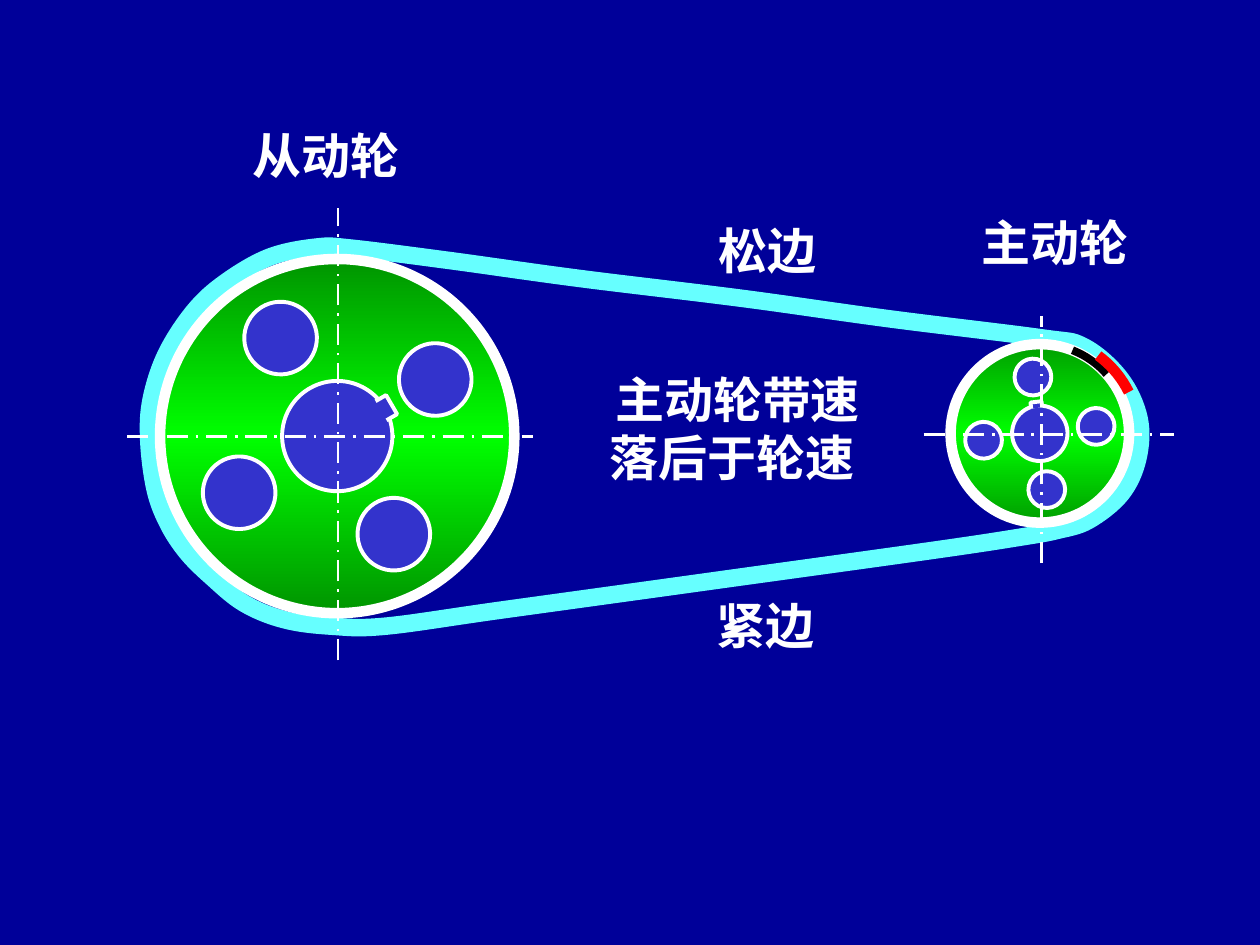
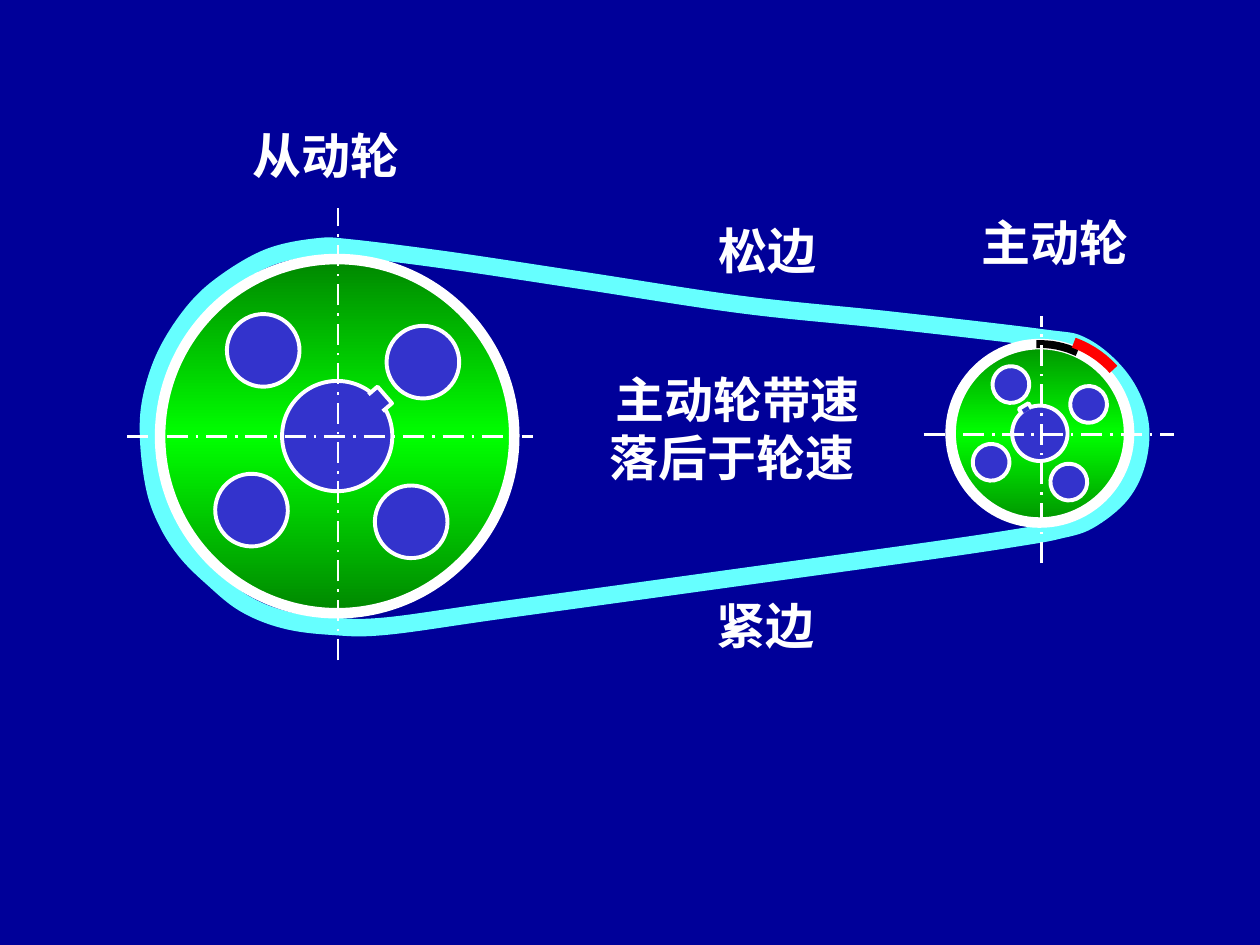
from copy import deepcopy
from math import cos, radians, sin

from pptx import Presentation
from pptx.dml.color import RGBColor
from pptx.enum.dml import MSO_LINE
from pptx.enum.shapes import MSO_CONNECTOR, MSO_SHAPE
from pptx.enum.text import MSO_AUTO_SIZE, PP_ALIGN
from pptx.oxml.ns import qn
from pptx.util import Pt

OVAL, ARC = MSO_SHAPE.OVAL, MSO_SHAPE.ARC
STRAIGHT = MSO_CONNECTOR.STRAIGHT
DASH_DOT = MSO_LINE.LONG_DASH_DOT
CENTER = PP_ALIGN.CENTER
FIT_SHAPE = MSO_AUTO_SIZE.SHAPE_TO_FIT_TEXT

NAVY = RGBColor(0x00, 0x00, 0x99)
WHITE = RGBColor(0xFF, 0xFF, 0xFF)
BLACK = RGBColor(0x00, 0x00, 0x00)
RED = RGBColor(0xFF, 0x00, 0x00)
BELT_CYAN = RGBColor(0x66, 0xFF, 0xFF)
HOLE_BLUE = RGBColor(0x33, 0x33, 0xCC)
DARK_GREEN = RGBColor(0x00, 0x75, 0x00)
BRIGHT_GREEN = RGBColor(0x00, 0xFF, 0x00)
FONT = "Times New Roman"

# Points are complex numbers: x + y * 1j, in points, y downwards
DRIVEN_CENTER = complex(192.7, 249.2)
DRIVER_CENTER = complex(594.2, 247.6)

# Wheels: centre, rim diameter, hub diameter, hole diameter, hole distance
DRIVEN = (DRIVEN_CENTER, 202.4, 63, 41.5, 64.7)
DRIVER = (DRIVER_CENTER, 102, 31.7, 21, 32.4)
# Key seat corners (along, across), as parts of the hub radius
KEY = [(0.92, -0.2), (1.14, -0.2), (1.14, 0.2), (0.92, 0.2)]

# Belt knots: the slack side differs per slide, the rest is shared
BELT_START = (594.7, 193)
BELT_REST = [
    (257.8, 149), (200.9, 141.8), (181.4, 141.1), (154.1, 146.9),
    (128.9, 161.3), (110.9, 177.8), (95, 202.3), (86.4, 228.2),
    (85, 251.3), (88.6, 279.4), (95.8, 298.8), (106.6, 315.4),
    (121, 329.8), (139.7, 344.9), (162.7, 354.2), (189.4, 357.8),
    (220.3, 357.8), (287.3, 348.5), (417.6, 330.5), (537.1, 313.9),
    (584.6, 306.7), (604.1, 303.1), (622.1, 297.4), (640.8, 282.2),
    (650.2, 262.1), (650.9, 239), (640.1, 216), (619.2, 198),
]

# Per slide: slack side, driven angle, driver angle, start of belt mark
SLIDES = [
    ([(508.3, 182.2), (424.8, 170.6), (331.2, 159.1)], -30, -7, -55),
    ([(508.3, 182.9), (424.8, 174.2), (334.8, 160.6)], -40.8, -30.7, -71),
]

# Centre lines: x1, y1, x2, y2
CENTER_LINES = [
    (72.7, 249.3, 304.6, 249.3),
    (193.1, 377.3, 193.1, 118.8),
    (527.8, 248.4, 671, 248.4),
    (595.2, 321.8, 595.2, 180.7),
]

# Labels: text, left, top, width, height
LABELS = [
    ("主动轮带速落后于轮速 ", 336.2, 207.4, 170.6, 74.9),
    ("主动轮 ", 543.6, 117.7, 125.3, 41),
    ("从动轮 ", 126.7, 68.4, 125.3, 41),
    ("松边 ", 399.2, 122.4, 85, 41),
    ("紧边 ", 398.2, 337, 85, 41),
]


def outline(s, points, color, width, fill=None, smooth=False):
    """Draw a path through complex points, smoothed to curves if asked."""
    closed = points[0] == points[-1]
    xy = [(Pt(z.real), Pt(z.imag)) for z in points]
    builder = s.shapes.build_freeform(*xy[0], scale=1.0)
    builder.add_line_segments(xy[1:], close=closed)
    sp = builder.convert_to_shape()
    sp.shadow.inherit = False
    if fill is None:
        sp.fill.background()
    else:
        sp.fill.solid()
        sp.fill.fore_color.rgb = fill
    sp.line.color.rgb = color
    sp.line.width = Pt(width)
    if smooth:
        before = points[-2] if closed else points[0]
        after = points[1] if closed else points[-1]
        knots = [before, *points, after]
        segments = list(sp._element.spPr.iter(qn("a:lnTo")))
        for i, segment in enumerate(segments):
            a, b, c, d = knots[i:i + 4]
            segment.tag = qn("a:cubicBezTo")
            for k, z in enumerate((b + (c - a) / 6, c - (d - b) / 6)):
                segment.insert(k, segment.makeelement(qn("a:pt"), {
                    "x": str(Pt(z.real) - sp.left),
                    "y": str(Pt(z.imag) - sp.top)}))


def disc(s, center, diameter, width, rotation):
    """Draw a blue circle with a white line around a complex centre."""
    sp = s.shapes.add_shape(
        OVAL, Pt(center.real - diameter / 2), Pt(center.imag - diameter / 2),
        Pt(diameter), Pt(diameter))
    sp.rotation = rotation
    sp.shadow.inherit = False
    sp.fill.solid()
    sp.fill.fore_color.rgb = HOLE_BLUE
    sp.line.color.rgb = WHITE
    sp.line.width = Pt(width)
    return sp


prs = Presentation()
prs.slide_width, prs.slide_height = Pt(720), Pt(540)

for slack_side, driven_angle, driver_angle, mark_start in SLIDES:
    s = prs.slides.add_slide(prs.slide_layouts[6])
    s.background.fill.solid()
    s.background.fill.fore_color.rgb = NAVY

    # Belt
    belt = [BELT_START, *slack_side, *BELT_REST, BELT_START]
    outline(s, [complex(*xy) for xy in belt], BELT_CYAN, 10, smooth=True)

    # Wheels: rim, four holes, hub and key seat
    for wheel, angle, key_angle, rotation in [
            (DRIVER, driver_angle, driver_angle - 90, driver_angle + 230.1),
            (DRIVEN, driven_angle, driven_angle, driven_angle + 319.9)]:
        center, rim_d, hub_d, hole_d, distance = wheel
        rim = disc(s, center, rim_d, 6, rotation)
        rim.fill.gradient()
        rim.fill.gradient_angle = 90
        first, middle = rim.fill.gradient_stops
        first.color.rgb, first.position = DARK_GREEN, 0
        middle.color.rgb, middle.position = BRIGHT_GREEN, 0.5
        stops = rim._element.spPr.find(".//" + qn("a:gsLst"))
        last = deepcopy(stops[0])
        last.set("pos", "100000")
        stops.append(last)
        stops.getparent().set("rotWithShape", "0")

        for k in range(4):
            turn = radians(angle + 90 * k)
            disc(s, center + distance * complex(cos(turn), sin(turn)),
                 hole_d, 2.25, rotation)
        disc(s, center, hub_d, 2.25, rotation)
        turn = radians(key_angle)
        unit = hub_d / 2 * complex(cos(turn), sin(turn))
        outline(s, [center + unit * complex(*corner) for corner in KEY],
                WHITE, 2.25, fill=HOLE_BLUE)

    # Black mark on the driver wheel
    turns = [radians(driver_angle - 34.5 - 6.75 * k) for k in range(5)]
    outline(s, [DRIVER_CENTER + 51 * complex(cos(t), sin(t)) for t in turns],
            BLACK, 4.5, smooth=True)

    # Centre lines
    for ends in CENTER_LINES:
        line = s.shapes.add_connector(STRAIGHT, *map(Pt, ends))
        line.line.color.rgb = WHITE
        line.line.width = Pt(1.5)
        line.line.dash_style = DASH_DOT
        spPr = line._element.spPr
        spPr.append(spPr.makeelement(qn("a:effectLst"), {}))

    # Red mark on the belt; an arc angle of one degree is 0.6
    mark = s.shapes.add_shape(ARC, Pt(539.3), Pt(192.6), Pt(111.6), Pt(113.8))
    mark.adjustments[0] = (mark_start + 360) * 0.6
    mark.adjustments[1] = (mark_start + 28 + 360) * 0.6
    mark.shadow.inherit = False
    mark.fill.background()
    mark.line.color.rgb = RED
    mark.line.width = Pt(6)

    # Labels
    for text, *box in LABELS:
        tf = s.shapes.add_textbox(*map(Pt, box)).text_frame
        tf.word_wrap = True
        tf.auto_size = FIT_SHAPE
        p = tf.paragraphs[0]
        p.text = text
        p.alignment = CENTER
        p.font.name = FONT
        p.font.size = Pt(28)
        p.font.bold = True
        p.font.color.rgb = WHITE

prs.save("out.pptx")
